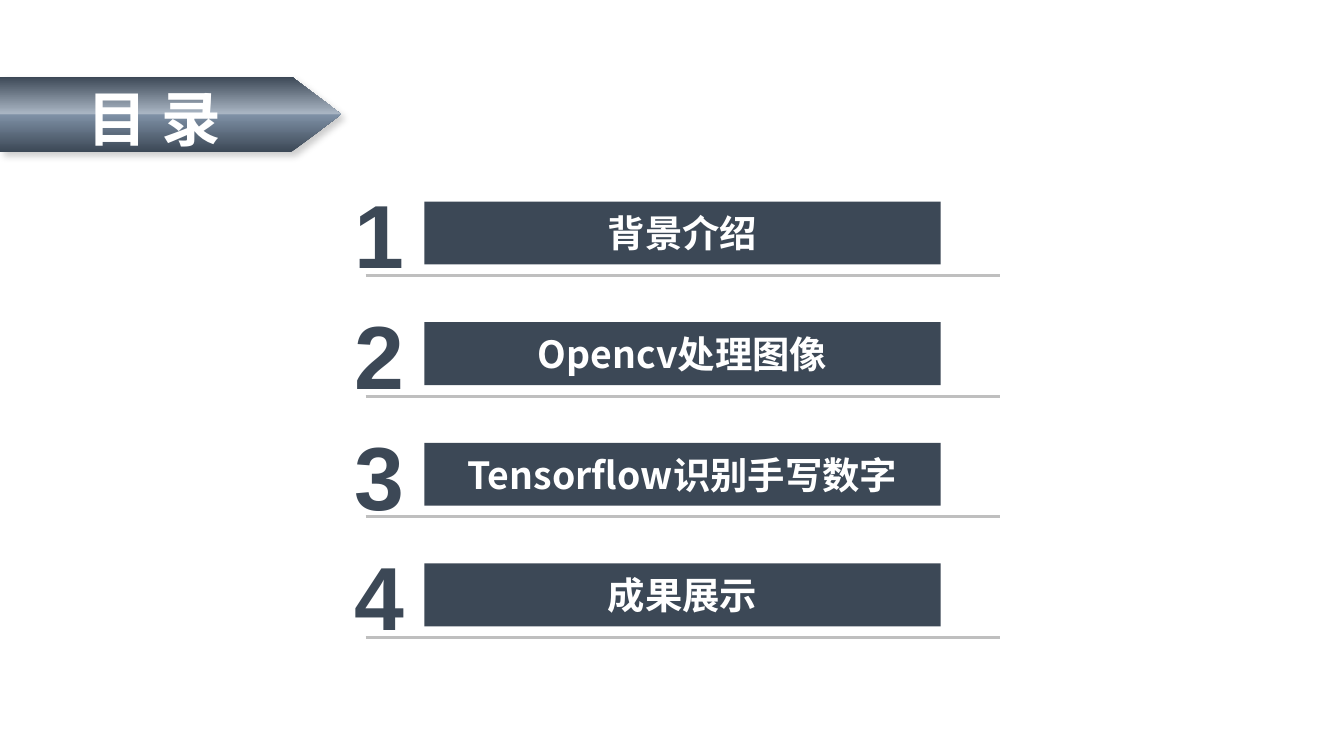
import pptx
import pptx.util
import pptx.dml.color
import pptx.enum.shapes
import pptx.enum.text
import pptx.oxml.ns
from lxml import etree

Cm = pptx.util.Cm
Pt = pptx.util.Pt
qn = pptx.oxml.ns.qn
ALIGN = pptx.enum.text.PP_ALIGN
MIDDLE = pptx.enum.text.MSO_ANCHOR.MIDDLE
AUTO_SIZE = pptx.enum.text.MSO_AUTO_SIZE

# Content
TITLE = "目 录"
CHAPTERS = ["背景介绍", "Opencv处理图像", "Tensorflow识别手写数字", "成果展示"]

# Style
COLORS = {"slate": "3C4856", "white": "FFFFFF", "rule": "BFBFBF", "shadow": "000000"}
BANNER_STOPS = [(0, "3C4856"), (49, "7E90A5"), (51, "A9B5C3"), (100, "3C4856")]
LATIN_FONT = "Arial"
CHINESE_FONT = "Noto Sans CJK SC"

# Layout in centimetres
FIRST_TOP, ROW_PITCH = 3.81, 2.28
BANNER_TOP, BANNER_WIDTH, BANNER_HEIGHT, BANNER_SHOULDER = 1.45, 6.45, 1.42, 5.51


def color(name):
    return pptx.dml.color.RGBColor.from_string(COLORS[name])


def write(shape, text, size, font, color_name, alignment):
    frame = shape.text_frame
    frame.vertical_anchor = MIDDLE
    paragraph = frame.paragraphs[0]
    paragraph.alignment = alignment
    run = paragraph.add_run()
    run.text = text
    run.font.size = Pt(size)
    run.font.bold = True
    run.font.name = font
    run.font.color.rgb = color(color_name)
    east_asian = etree.SubElement(run.font._element, qn("a:ea"))
    east_asian.set("typeface", font)


def add_color(parent, value):
    element = etree.SubElement(parent, qn("a:srgbClr"))
    element.set("val", value)
    return element


def add_chapter(slide, number, text):
    top = FIRST_TOP + (number - 1) * ROW_PITCH

    # Number
    box = slide.shapes.add_textbox(Cm(6.45), Cm(top - 0.56), Cm(1.47), Cm(2.31))
    box.text_frame.word_wrap = False
    box.text_frame.auto_size = AUTO_SIZE.SHAPE_TO_FIT_TEXT
    write(box, str(number), 48, LATIN_FONT, "slate", ALIGN.LEFT)

    # Bar
    bar = slide.shapes.add_shape(pptx.enum.shapes.MSO_SHAPE.RECTANGLE,
                                 Cm(8.02), Cm(top), Cm(9.76), Cm(1.19))
    bar.shadow.inherit = False
    bar.fill.solid()
    bar.fill.fore_color.rgb = color("slate")
    bar.line.fill.background()
    write(bar, text, 20, CHINESE_FONT, "white", ALIGN.CENTER)

    # Rule below
    rule_top = Cm(top + 1.4)
    rule = slide.shapes.add_connector(pptx.enum.shapes.MSO_CONNECTOR.STRAIGHT,
                                      Cm(6.91), rule_top, Cm(18.9), rule_top)
    rule.line.color.rgb = color("rule")
    rule.line.width = Pt(1.5)
    etree.SubElement(rule._element.spPr, qn("a:effectLst"))


def add_banner(slide):
    bottom = BANNER_TOP + BANNER_HEIGHT
    middle = BANNER_TOP + BANNER_HEIGHT / 2
    outline = [(BANNER_SHOULDER, BANNER_TOP), (BANNER_WIDTH, middle),
               (BANNER_SHOULDER, bottom), (0, bottom)]
    builder = slide.shapes.build_freeform(0, Cm(BANNER_TOP))
    builder.add_line_segments([(Cm(x), Cm(y)) for x, y in outline], close=True)
    banner = builder.convert_to_shape()
    banner.line.fill.background()

    # Four-stop gradient running upwards
    banner.fill.gradient()
    gradient = banner._element.spPr.find(qn("a:gradFill"))
    stops = gradient.find(qn("a:gsLst"))
    for stop in list(stops):
        stops.remove(stop)
    for position, value in BANNER_STOPS:
        stop = etree.SubElement(stops, qn("a:gs"))
        stop.set("pos", str(position * 1000))
        add_color(stop, value)
    gradient.find(qn("a:lin")).set("ang", str(270 * 60000))

    # Soft shadow to the lower right
    banner.shadow.inherit = False
    effects = banner._element.spPr.find(qn("a:effectLst"))
    shadow = etree.SubElement(effects, qn("a:outerShdw"))
    shadow.set("blurRad", str(Pt(4)))
    shadow.set("dist", str(Pt(3)))
    shadow.set("dir", str(45 * 60000))
    alpha = etree.SubElement(add_color(shadow, COLORS["shadow"]), qn("a:alpha"))
    alpha.set("val", "20000")


def place_title(slide):
    title = slide.shapes.title
    title.left, title.top = 0, Cm(BANNER_TOP)
    title.width, title.height = Cm(BANNER_WIDTH), Cm(BANNER_HEIGHT)
    frame = title.text_frame
    frame.auto_size = AUTO_SIZE.NONE
    frame.word_wrap = True
    frame.margin_left = frame.margin_bottom = 0
    frame.margin_top, frame.margin_right = Cm(0.13), Cm(0.61)
    write(title, TITLE, 32, CHINESE_FONT, "white", ALIGN.CENTER)
    # Bring the title in front of the banner
    slide.shapes._spTree.append(title._element)


def main():
    presentation = pptx.Presentation()
    presentation.slide_width = Cm(25.4)
    presentation.slide_height = Cm(14.29)
    slide = presentation.slides.add_slide(presentation.slide_layouts[5])
    for number, text in enumerate(CHAPTERS, start=1):
        add_chapter(slide, number, text)
    add_banner(slide)
    place_title(slide)
    presentation.save("out.pptx")


if __name__ == "__main__":
    main()
